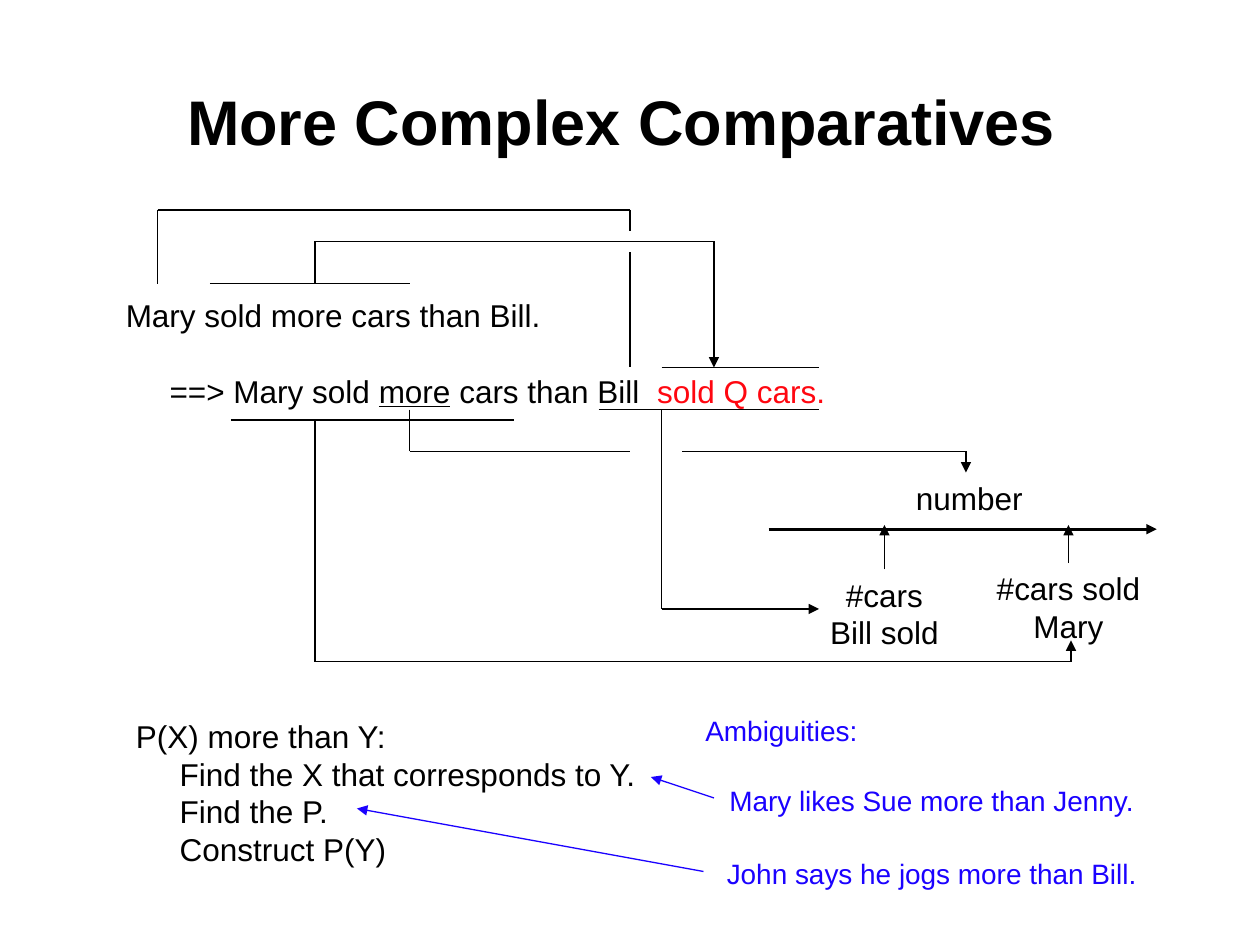
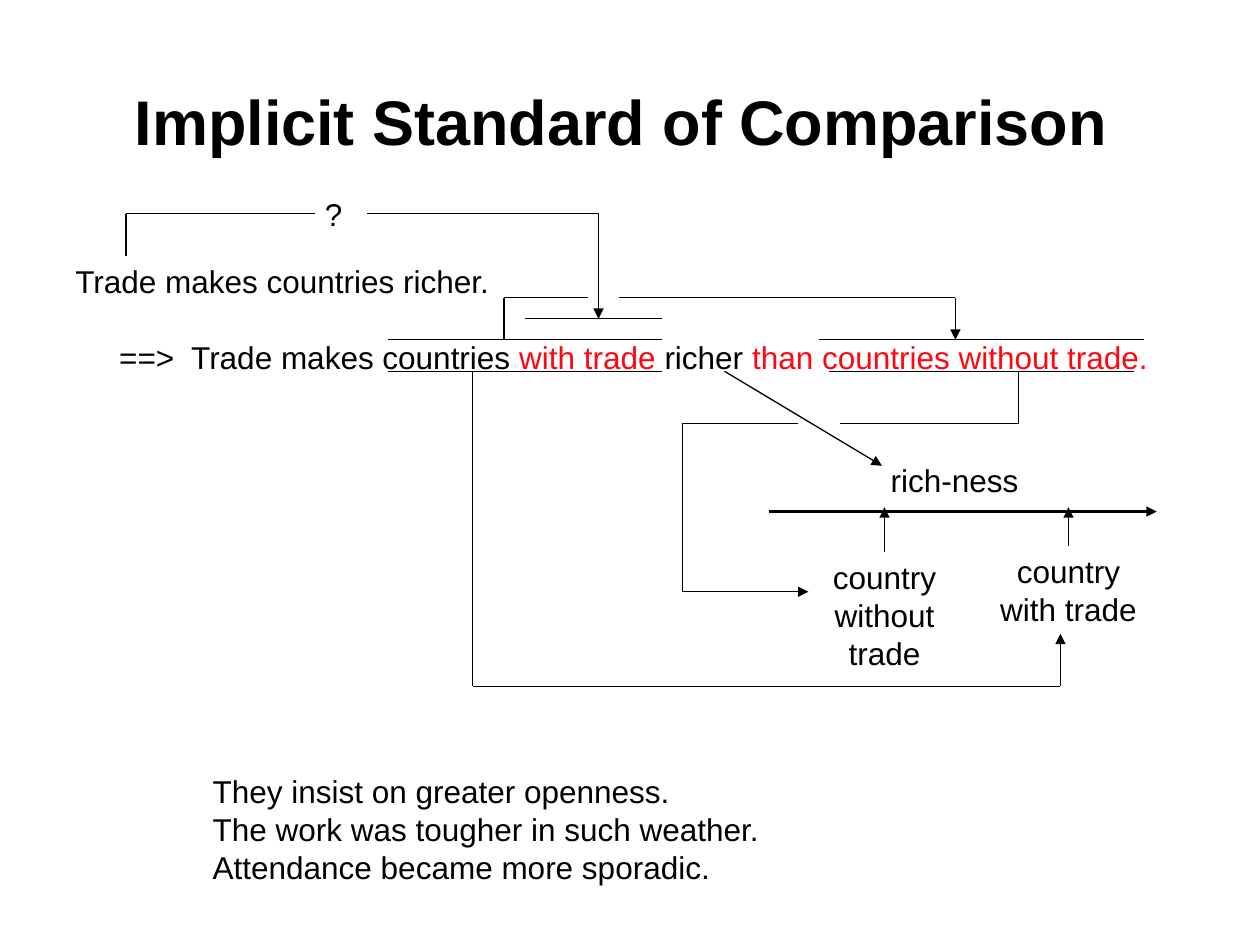
from dataclasses import dataclass
from itertools import pairwise

from lxml import etree
from pptx import Presentation
from pptx.dml.color import RGBColor
from pptx.enum.shapes import MSO_CONNECTOR
from pptx.enum.text import MSO_ANCHOR, MSO_AUTO_SIZE, PP_ALIGN
from pptx.oxml.ns import qn
from pptx.util import Inches, Pt

STRAIGHT = MSO_CONNECTOR.STRAIGHT
MIDDLE = MSO_ANCHOR.MIDDLE
FIXED = MSO_AUTO_SIZE.NONE
LEFT, CENTER = PP_ALIGN.LEFT, PP_ALIGN.CENTER
TOP_SITE = 0
CELLS_PER_INCH = 12
WIDTH_SLACK = 2


@dataclass(frozen=True)
class Theme:
    font: str = "Arial"
    black: RGBColor = RGBColor(0x00, 0x00, 0x00)
    red: RGBColor = RGBColor(0xFF, 0x07, 0x10)
    blue: RGBColor = RGBColor(0x1B, 0x02, 0xFF)
    title_size: int = 36
    text_size: int = 18
    example_size: int = 16
    thin: float = 0.75
    thick: float = 1.5
    line_spacing: float = 1.2
    indent: float = 4.17


THEME = Theme()


@dataclass(frozen=True)
class Line:
    runs: tuple
    indented: bool = False
    gap: int = 0


def plain(text, color=THEME.black, underline=False):
    return (text, color, underline)


def lines(*texts, indented=False, color=THEME.black):
    return [Line((plain(text, color),), indented) for text in texts]


SLIDES = [
    {
        "title": "More Complex Comparatives ",
        "row_offset": 0,
        "texts": [
            (10.8, 27.6, 69, THEME.text_size, lines("Mary sold more cars than Bill.") + [
                Line((plain("==> Mary sold "), plain("more", underline=True),
                      plain(" cars than Bill  "), plain("sold Q cars.", THEME.red)),
                     indented=True, gap=1)]),
            (11.76, 67.68, 50.4, THEME.text_size, lines("P(X) more than Y:") + lines(
                "Find the X that corresponds to Y.", "Find the P.", "Construct P(Y)",
                indented=True)),
            (68.28, 74.04, 41.16, THEME.example_size,
             lines("Mary likes Sue more than Jenny.", color=THEME.blue)),
            (68.04, 81, 41.4, THEME.example_size,
             lines("John says he jogs more than Bill.", color=THEME.blue)),
            (66, 67.32, 16.8, THEME.example_size, lines("Ambiguities:", color=THEME.blue)),
        ],
        "scale": {
            "row": 50.4,
            "name": (86.04, 12.6, ["number"]),
            "low": (12.72, ["#cars", "Bill sold"]),
            "high": (16.08, ["#cars sold", "Mary"]),
        },
        "links": [
            [(20, 27), (39, 27)],
            [(63, 35), (78, 35)],
            [(15, 27), (15, 20), (60, 20), (60, 22)],
            [(60, 24), (60, 35)],
            [(22, 40), (49, 40)],
            [(57, 39), (78, 39)],
            [(39, 39), (39, 43), (60, 43)],
        ],
        "arrows": [
            [(30, 27), (30, 23), (68, 23), (68, 35)],
            [(30, 40), (30, 63), (102, 63), (102, 61)],
            [(63, 39), (63, 58), (78, 58)],
            [(65, 43), (92, 43), (92, 45)],
        ],
        "example_arrows": [
            [(68, 76), (62, 74)],
            [(67, 83), (34, 77)],
        ],
    },
    {
        "title": "Implicit Standard of Comparison ",
        "row_offset": 0.36,
        "texts": [
            (6, 24.36, 104.64, THEME.text_size, lines("Trade makes countries richer.") + [
                Line((plain("==>  Trade makes countries "), plain("with trade", THEME.red),
                      plain(" richer "), plain("than countries without trade.", THEME.red)),
                     indented=True, gap=1)]),
            (29.76, 18, 4.08, THEME.text_size, lines("?")),
            (19.08, 72.96, 54.6, THEME.text_size, lines(
                "They insist on greater openness.",
                "The work was tougher in such weather.",
                "Attendance became more sporadic.")),
        ],
        "scale": {
            "row": 48.72,
            "name": (83.64, 14.52, ["rich-ness"]),
            "low": (12.24, ["country", "without", "trade"]),
            "high": (15.36, ["country", "with trade"]),
        },
        "links": [
            [(50, 30), (63, 30)],
            [(12, 24), (12, 20), (30, 20)],
            [(37, 35), (63, 35)],
            [(37, 32), (63, 32)],
            [(48, 32), (48, 28), (56, 28)],
            [(78, 32), (109, 32)],
            [(79, 35), (108, 35)],
            [(97, 35), (97, 40), (80, 40)],
        ],
        "arrows": [
            [(35, 20), (57, 20), (57, 30)],
            [(59, 28), (91, 28), (91, 32)],
            [(69, 35), (84, 44)],
            [(76, 40), (65, 40), (65, 56), (77, 56)],
            [(45, 35), (45, 65), (101, 65), (101, 60)],
        ],
        "example_arrows": [],
    },
]

SCALE_START, SCALE_END = 73.2, 110.16
LOW_CENTER, HIGH_CENTER = 84.24, 101.76
NAME_RISE, LOW_DROP, HIGH_DROP, TICK_RISE = 5.4, 3.84, 3.24, 0.4


def cells(count):
    return Inches(count / CELLS_PER_INCH)


def add_run(paragraph, text, size, color, bold=False, underline=False):
    run = paragraph.add_run()
    run.text = text
    run.font.name = THEME.font
    run.font.size = Pt(size)
    run.font.bold = bold
    run.font.underline = underline
    run.font.color.rgb = color


def add_title(slide, text):
    title = slide.shapes.title
    title.left, title.top, title.width, title.height = map(cells, (9, 4, 102, 15))
    title.text_frame.vertical_anchor = MIDDLE
    paragraph = title.text_frame.paragraphs[0]
    paragraph.alignment = CENTER
    add_run(paragraph, text, THEME.title_size, THEME.black, bold=True)


def add_text(slide, left, top, width, size, content, alignment=LEFT):
    line_height = size * THEME.line_spacing * CELLS_PER_INCH / 72
    height = sum(1 + line.gap for line in content) * line_height + 1.2
    if alignment == CENTER:
        left -= WIDTH_SLACK / 2
    shape = slide.shapes.add_textbox(*map(cells, (left, top, width + WIDTH_SLACK, height)))
    frame = shape.text_frame
    frame.word_wrap = True
    frame.auto_size = FIXED
    for index, line in enumerate(content):
        paragraph = frame.add_paragraph() if index else frame.paragraphs[0]
        paragraph.alignment = alignment
        if line.gap:
            paragraph.space_before = Pt(line.gap * size * THEME.line_spacing)
        if line.indented:
            paragraph._p.get_or_add_pPr().set("marL", str(cells(THEME.indent)))
        for text, color, underline in line.runs:
            add_run(paragraph, text, size, color, underline=underline)
    return shape


def add_line(slide, start, end, color=THEME.black, weight=THEME.thin, arrow=False):
    connector = slide.shapes.add_connector(STRAIGHT, *map(cells, (*start, *end)))
    connector.line.color.rgb = color
    connector.line.width = Pt(weight)
    if arrow:
        outline = connector.line._get_or_add_ln()
        etree.SubElement(outline, qn("a:tailEnd"), type="triangle")
    etree.SubElement(connector._element.spPr, qn("a:effectLst"))
    return connector


def add_route(slide, points, row_offset, color=THEME.black, arrow=False):
    shifted = [(column, row + row_offset) for column, row in points]
    segments = list(pairwise(shifted))
    for index, (start, end) in enumerate(segments, 1):
        add_line(slide, start, end, color, arrow=arrow and index == len(segments))


def add_scale(slide, scale):
    row = scale["row"]
    add_line(slide, (SCALE_START, row), (SCALE_END, row), weight=THEME.thick, arrow=True)
    left, width, name = scale["name"]
    add_text(slide, left, row - NAME_RISE, width, THEME.text_size, lines(*name))
    for key, center, drop in (("low", LOW_CENTER, LOW_DROP), ("high", HIGH_CENTER, HIGH_DROP)):
        width, words = scale[key]
        label = add_text(slide, center - width / 2, row + drop, width,
                         THEME.text_size, lines(*words), CENTER)
        tick = add_line(slide, (center, row + drop), (center, row - TICK_RISE), arrow=True)
        tick.begin_connect(label, TOP_SITE)


def build_slide(presentation, content):
    slide = presentation.slides.add_slide(presentation.slide_layouts.get_by_name("Title Only"))
    add_title(slide, content["title"])
    for text in content["texts"]:
        add_text(slide, *text)
    add_scale(slide, content["scale"])
    offset = content["row_offset"]
    for points in content["links"]:
        add_route(slide, points, offset)
    for points in content["arrows"]:
        add_route(slide, points, offset, arrow=True)
    for points in content["example_arrows"]:
        add_route(slide, points, offset, THEME.blue, arrow=True)


def main():
    presentation = Presentation()
    presentation.slide_width, presentation.slide_height = Inches(10), Inches(7.5)
    for content in SLIDES:
        build_slide(presentation, content)
    presentation.save("out.pptx")


if __name__ == "__main__":
    main()
